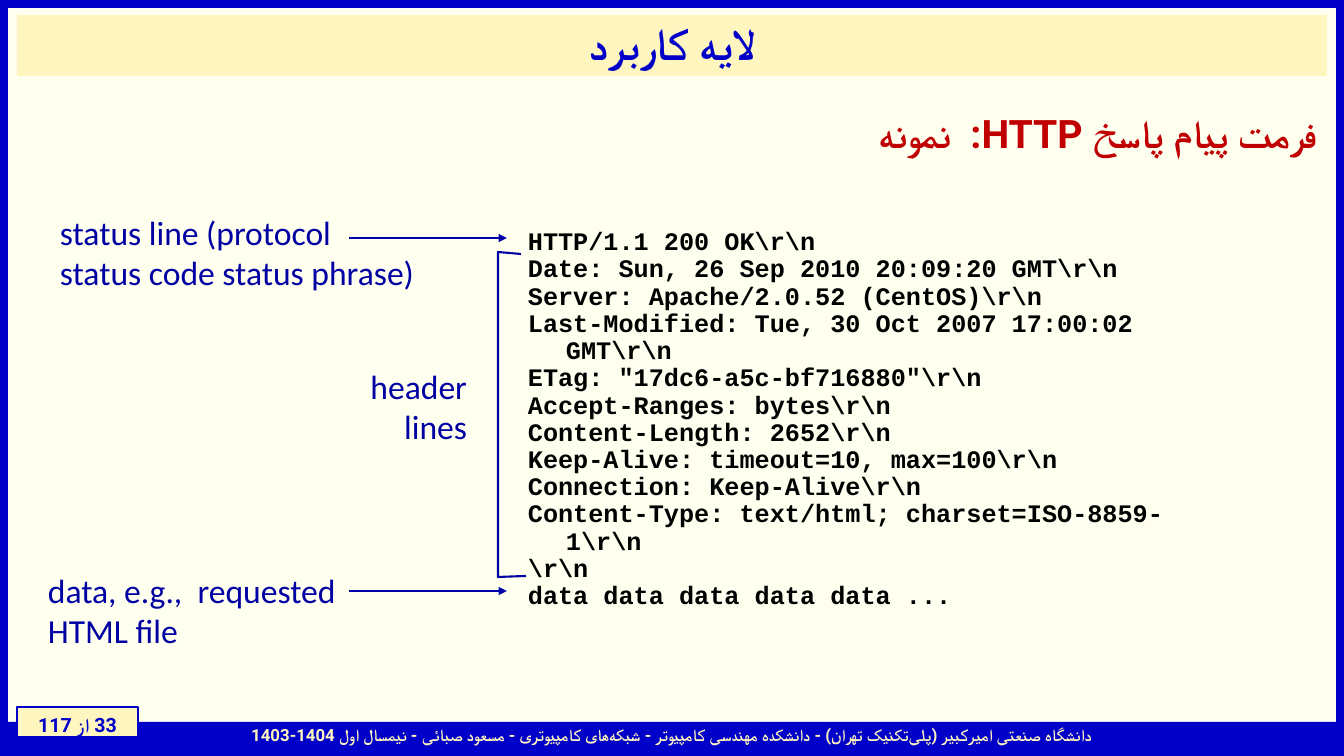
from lxml.etree import SubElement
from pptx import Presentation
from pptx.dml.color import RGBColor
from pptx.enum.shapes import MSO_CONNECTOR, MSO_SHAPE
from pptx.enum.text import MSO_ANCHOR, PP_ALIGN
from pptx.oxml.ns import qn
from pptx.util import Pt

SCALE = 914400 / 100.8
NON_JOINER = chr(0x200C)
COLORS = {
    "background": "FFFFF0",
    "frame": "0000C8",
    "cream": "FFF5BE",
    "heading": "C00000",
    "label": "0000A3",
    "arrow": "0000A8",
    "code": "000000",
}


def px(*lengths):
    return [round(length * SCALE) for length in lengths]


def write(shape, lines, font_name, size, color, bold=False, align=PP_ALIGN.LEFT,
          spacing=1.0, anchor=MSO_ANCHOR.TOP, wrap=True, rtl=False, hanging=0):
    frame = shape.text_frame
    frame.word_wrap = wrap
    frame.vertical_anchor = anchor
    frame.text = "\n".join(lines)
    for paragraph in frame.paragraphs:
        paragraph.alignment = align
        paragraph.line_spacing = spacing
        properties = paragraph._p.get_or_add_pPr()
        if hanging:
            indent = px(hanging)[0]
            properties.set("marL", str(indent))
            properties.set("indent", str(-indent))
        font = paragraph.font
        font.name = font_name
        font.size = Pt(size)
        font.bold = bold
        font.color.rgb = RGBColor.from_string(COLORS[color])
        if rtl:
            properties.set("rtl", "1")
            defaults = properties.find(qn("a:defRPr"))
            SubElement(defaults, qn("a:cs")).set("typeface", "Roboto")


presentation = Presentation()
presentation.slide_width, presentation.slide_height = px(1344, 756)
slide = presentation.slides.add_slide(presentation.slide_layouts[6])
slide.background.fill.solid()
slide.background.fill.fore_color.rgb = RGBColor.from_string(COLORS["background"])
shapes = slide.shapes

panels = {}
for name, box, fill, line_width in [
    ("border", (0, 0, 1344, 756), None, 12),
    ("footer", (-1, 722, 1346, 29), "frame", 0),
    ("title", (17, 15, 1310, 61), "cream", 0),
    ("page", (17, 707, 121, 30), "cream", 2),
]:
    panel = shapes.add_shape(MSO_SHAPE.RECTANGLE, *px(*box))
    panel.shadow.inherit = False
    if fill:
        panel.fill.solid()
        panel.fill.fore_color.rgb = RGBColor.from_string(COLORS[fill])
    else:
        panel.fill.background()
    if line_width:
        panel.line.width = Pt(line_width)
        panel.line.color.rgb = RGBColor.from_string(COLORS["frame"])
    else:
        panel.line.fill.background()
    panels[name] = panel

write(panels["footer"],
      [f"دانشگاه صنعتی امیرکبیر (پلی{NON_JOINER}تکنیک تهران) - دانشکده مهندسی کامپیوتر - "
       f"شبکه{NON_JOINER}های کامپیوتری - مسعود صبائی - نیمسال اول 1404-1403"],
      "Times New Roman", 12, "cream", bold=True, align=PP_ALIGN.CENTER, spacing=0.9, rtl=True)
write(panels["title"], ["لایه کاربرد"], "Times New Roman", 32, "frame", bold=True,
      align=PP_ALIGN.CENTER, spacing=0.9, anchor=MSO_ANCHOR.MIDDLE, rtl=True)
write(panels["page"], ["33 از 117"], "Roboto", 14, "frame", bold=True,
      align=PP_ALIGN.CENTER, spacing=1.2, anchor=MSO_ANCHOR.MIDDLE, rtl=True)

heading = shapes.add_textbox(*px(17, 104, 1310, 51))
write(heading, ["فرمت پیام پاسخ HTTP:  نمونه"], "Roboto", 28, "heading", bold=True,
      align=PP_ALIGN.JUSTIFY, rtl=True)

for box, lines, align, wrap in [
    ((50, 207, 448, 92), ["status line (protocol", "status code status phrase)"], PP_ALIGN.LEFT, True),
    ((359, 361, 118, 92), ["header", "lines"], PP_ALIGN.RIGHT, False),
    ((38, 565, 397, 92), ["data, e.g.,  requested", "HTML file"], PP_ALIGN.LEFT, True),
]:
    label = shapes.add_textbox(*px(*box))
    write(label, lines, "Calibri", 24, "label", align=align, wrap=wrap)

response = shapes.add_textbox(*px(518, 224, 696, 392))
write(response, [
    r"HTTP/1.1 200 OK\r\n",
    r"Date: Sun, 26 Sep 2010 20:09:20 GMT\r\n",
    r"Server: Apache/2.0.52 (CentOS)\r\n",
    r"Last-Modified: Tue, 30 Oct 2007 17:00:02 GMT\r\n",
    r'ETag: "17dc6-a5c-bf716880"\r\n',
    r"Accept-Ranges: bytes\r\n",
    r"Content-Length: 2652\r\n",
    r"Keep-Alive: timeout=10, max=100\r\n",
    r"Connection: Keep-Alive\r\n",
    r"Content-Type: text/html; charset=ISO-8859-1\r\n",
    r"\r\n",
    "data data data data data ...",
], "Courier New", 18, "code", bold=True, spacing=0.9, hanging=38)

builder = shapes.build_freeform(521, 254, scale=SCALE)
builder.add_line_segments([(498, 252), (498, 577), (526, 576)], close=False)
bracket = builder.convert_to_shape()
bracket.shadow.inherit = False
bracket.fill.background()
bracket.line.width = Pt(1.5)
bracket.line.color.rgb = RGBColor.from_string(COLORS["label"])

for y in (238, 591):
    arrow = shapes.add_connector(MSO_CONNECTOR.STRAIGHT, *px(349, y, 507, y))
    arrow.line.width = Pt(1.5)
    arrow.line.color.rgb = RGBColor.from_string(COLORS["arrow"])
    SubElement(arrow.line._get_or_add_ln(), qn("a:tailEnd")).set("type", "triangle")
    SubElement(arrow._element.spPr, qn("a:effectLst"))

presentation.save("out.pptx")
